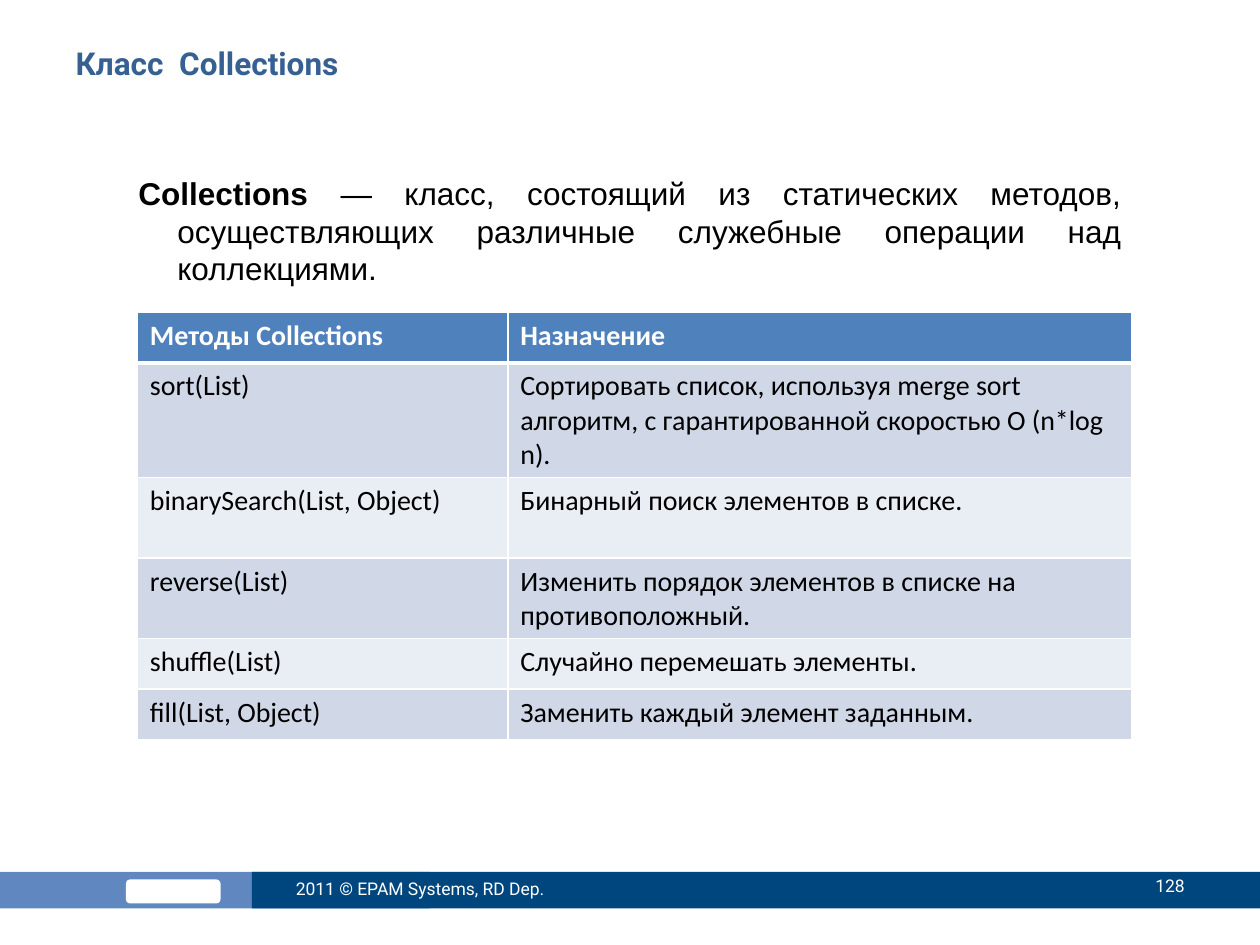
from typing import NamedTuple

from lxml import etree
from pptx import Presentation
from pptx import util as u
from pptx.dml.color import RGBColor
from pptx.enum import shapes, text
from pptx.oxml.ns import qn


class Box(NamedTuple):
    left: float
    top: float
    width: float
    height: float

    def lengths(self) -> list[int]:
        return [u.Inches(v) for v in self]


class Bar(NamedTuple):
    kind: shapes.MSO_SHAPE
    box: Box
    color: str


class Label(NamedTuple):
    words: str
    box: Box
    align: text.PP_ALIGN


class Row(NamedTuple):
    method: str
    purpose: str
    height: float


WHITE, BLACK, HEADER = "FFFFFF", "000000", "4F81BD"
BANDS = ("D0D8E8", "E9EDF4")
COLUMNS = (2.94, 4.95)

BARS = [
    Bar(shapes.MSO_SHAPE.RECTANGLE, Box(0, 6.92, 3.41, 0.29), "6087BF"),
    Bar(shapes.MSO_SHAPE.ROUNDED_RECTANGLE, Box(1, 6.98, 0.75, 0.19), WHITE),
    Bar(shapes.MSO_SHAPE.RECTANGLE, Box(2, 6.92, 8, 0.29), "00467E"),
]
LABELS = [
    Label("2011 © EPAM Systems, RD Dep.", Box(2.25, 6.85, 2.67, 0.4), text.PP_ALIGN.LEFT),
    Label("128", Box(8.42, 6.83, 1.08, 0.4), text.PP_ALIGN.RIGHT),
]
ROWS = [
    Row("Методы Collections", "Назначение", 0.4),
    Row("sort(List)", "Cортировать список, используя merge sort алгоритм, "
        "с гарантированной скоростью O (n*log n).", 0.91),
    Row("binarySearch(List, Object)", "Бинарный поиск элементов в списке.", 0.64),
    Row("reverse(List)", "Изменить порядок элементов в списке на противоположный.", 0.64),
    Row("shuffle(List)", "Случайно перемешать элементы.", 0.4),
    Row("fill(List, Object)", "Заменить каждый элемент заданным.", 0.4),
]


def rgb(color: str) -> RGBColor:
    return RGBColor.from_string(color)


def style(font, name: str, size: float, color: str, bold: bool = False) -> None:
    font.name, font.size, font.bold = name, u.Pt(size), bold
    font.color.rgb = rgb(color)


def draw_bar(s, bar: Bar) -> None:
    sp = s.shapes.add_shape(bar.kind, *bar.box.lengths())
    sp.shadow.inherit = False
    sp.fill.solid()
    sp.fill.fore_color.rgb = rgb(bar.color)
    sp.line.fill.background()


def draw_title(s) -> None:
    sp = s.shapes.title
    sp.left, sp.top, sp.width, sp.height = Box(0.5, 0.3, 9, 0.78).lengths()
    tf = sp.text_frame
    tf.vertical_anchor = text.MSO_ANCHOR.TOP
    tf.text = "Класс  Collections"
    p = tf.paragraphs[0]
    p.alignment = text.PP_ALIGN.LEFT
    style(p.font, "Roboto", 18, "376092", True)


def draw_definition(s) -> None:
    tf = s.shapes.add_textbox(*Box(1, 1.33, 8, 5.25).lengths()).text_frame
    tf.word_wrap = True
    p = tf.paragraphs[0]
    p.alignment = text.PP_ALIGN.JUSTIFY
    pPr = p._p.get_or_add_pPr()
    pPr.set("marL", str(u.Inches(0.31)))
    pPr.set("indent", str(u.Inches(-0.31)))
    style(p.font, "Arial", 18, BLACK)
    r = p.add_run()
    r.text = "Collections"
    r.font.bold = True
    p.add_run().text = (" — класс, состоящий из статических методов, осуществляющих "
                        "различные служебные операции над коллекциями.")


def draw_label(s, label: Label) -> None:
    tf = s.shapes.add_textbox(*label.box.lengths()).text_frame
    tf.word_wrap = True
    tf.vertical_anchor = text.MSO_ANCHOR.MIDDLE
    tf.text = label.words
    p = tf.paragraphs[0]
    p.alignment = label.align
    style(p.font, "Roboto", 10, WHITE)


def set_borders(cell, top: float, bottom: float) -> None:
    tcPr = cell._tc.get_or_add_tcPr()
    for side, width in (("L", 1), ("R", 1), ("T", top), ("B", bottom)):
        ln = etree.SubElement(tcPr, qn(f"a:ln{side}"), w=str(u.Pt(width)))
        fill = etree.SubElement(ln, qn("a:solidFill"))
        etree.SubElement(fill, qn("a:srgbClr"), val=WHITE)


def draw_table(s, rows: list[Row]) -> None:
    box = Box(1.09, 2.48, sum(COLUMNS), sum(row.height for row in rows))
    table = s.shapes.add_table(len(rows), len(COLUMNS), *box.lengths()).table
    for column, width in zip(table.columns, COLUMNS):
        column.width = u.Inches(width)
    for i, row in enumerate(rows):
        table.rows[i].height = u.Inches(row.height)
        is_header = i == 0
        for j, words in enumerate((row.method, row.purpose)):
            cell = table.cell(i, j)
            set_borders(cell, 3 if i == 1 else 1, 3 if is_header else 1)
            cell.fill.solid()
            cell.fill.fore_color.rgb = rgb(HEADER if is_header else BANDS[(i - 1) % 2])
            cell.text = words
            style(cell.text_frame.paragraphs[0].font, "Calibri", 16,
                  WHITE if is_header else BLACK, is_header)


def main() -> None:
    prs = Presentation()
    prs.slide_width, prs.slide_height = u.Inches(10), u.Inches(7.5)
    s = prs.slides.add_slide(prs.slide_layouts[5])
    for bar in BARS:
        draw_bar(s, bar)
    draw_title(s)
    draw_definition(s)
    for label in LABELS:
        draw_label(s, label)
    draw_table(s, ROWS)
    prs.save("out.pptx")


if __name__ == "__main__":
    main()
